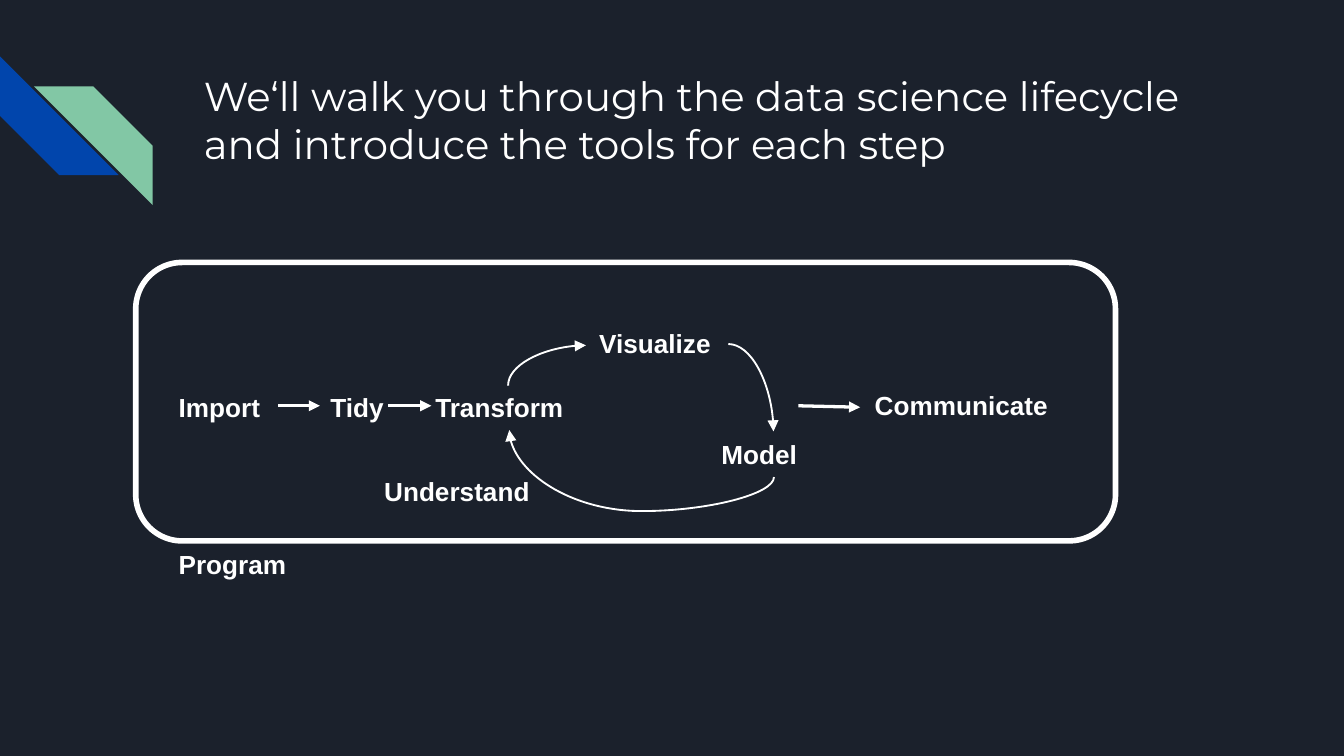
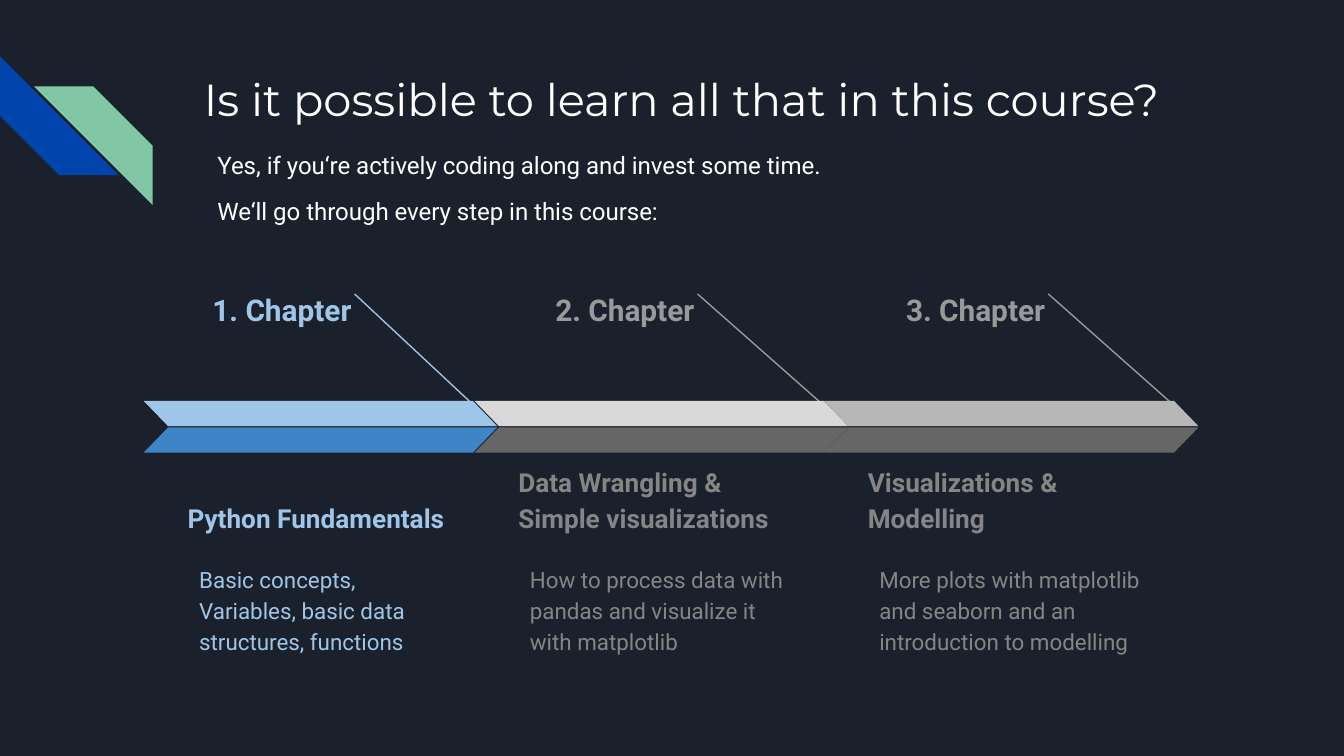
from dataclasses import dataclass
from typing import NamedTuple

from lxml import etree
from pptx import Presentation
from pptx.dml.color import RGBColor
from pptx.enum import shapes, text
from pptx.oxml import ns
from pptx.util import Pt


@dataclass(frozen=True)
class Theme:
    back: str = "1B212C"
    white: str = "FFFFFF"
    blue: str = "0145AC"
    green: str = "82C7A5"
    sky: str = "9FC5E8"
    deep: str = "3D85C6"
    grey: str = "999999"
    dim: str = "858585"
    dark: str = "666666"
    pale: str = "D9D9D9"
    mid: str = "B7B7B7"
    head: str = "Montserrat"
    body: str = "Roboto"
    plain: str = "Arial"
    label: float = 14
    lead: float = 12.9
    tag: float = 16
    topic: float = 14
    note: float = 12


class Box(NamedTuple):
    x: float
    y: float
    w: float
    h: float


class Font(NamedTuple):
    name: str
    size: float
    color: str
    bold: bool = False


class Label(NamedTuple):
    words: str
    x: float
    y: float
    w: float


class Curve(NamedTuple):
    start: tuple
    end: tuple
    kind: str
    turn: float = 0
    bend: int | None = None


class Chapter(NamedTuple):
    tag: str
    topic: str
    note: str
    x: float
    w: float
    lead: float
    tint: str
    tone: str
    top: str
    low: str


T = Theme()
FORM = shapes.MSO_SHAPE
LINK = shapes.MSO_CONNECTOR

LABELS = [
    Label("Tidy", 169.9, 205.9, 45.4),
    Label("Import", 88.6, 205.9, 70.6),
    Label("Transform", 226.1, 205.9, 92.2),
    Label("Visualize", 313.9, 172.1, 76.3),
    Label("Model", 379.4, 231.1, 70.6),
    Label("Communicate", 461.5, 205.2, 108),
    Label("Program", 88.6, 290.2, 74.9),
    Label("Understand", 198.7, 251.3, 92.2),
]
ARROWS = [
    ((149, 217.4), (171.4, 217.4)),
    ((208.1, 217.4), (231.1, 217.4)),
    ((427.7, 217.4), (460.8, 218.2)),
]
CURVES = [
    Curve((303.8, 216.7), (282.2, 175), "curvedConnector2", 90),
    Curve((390.2, 184.3), (414.4, 231.1), "curvedConnector2"),
    Curve((356.4, 172.1), (331.2, 313.9), "curvedConnector3", 90, -72300),
]
CHAPTERS = [
    Chapter("1. Chapter", "Python Fundamentals",
            "Basic concepts,\vVariables, basic data structures, functions",
            77, 189.4, 190, T.sky, T.sky, T.sky, T.deep),
    Chapter("2. Chapter", "Data Wrangling & Simple visualizations",
            "How to process data with pandas and visualize it with matplotlib",
            254.2, 200.2, 373.7, T.grey, T.dim, T.pale, T.dark),
    Chapter("3. Chapter", "Visualizations & Modelling",
            "More plots with matplotlib and seaborn and an introduction to modelling",
            441.4, 200.6, 561.6, T.grey, T.dim, T.mid, T.dark),
]


def rgb(code: str) -> RGBColor:
    return RGBColor.from_string(code)


def write(slide, words: str, box: Box, font: Font, pad: float = 7.2,
          space: float = 1, gap: float = 0, align=text.PP_ALIGN.LEFT,
          anchor=text.MSO_ANCHOR.TOP) -> None:
    frame = slide.shapes.add_textbox(*map(Pt, box)).text_frame
    frame.word_wrap = True
    frame.vertical_anchor = anchor
    frame.margin_left = frame.margin_right = Pt(7.2)
    frame.margin_top = frame.margin_bottom = Pt(pad)
    frame.text = words
    for rank, para in enumerate(frame.paragraphs):
        para.alignment = align
        para.line_spacing = space
        if rank:
            para.space_before = Pt(gap)
        for run in para.runs:
            run.font.name = font.name
            run.font.size = Pt(font.size)
            run.font.bold = font.bold
            run.font.color.rgb = rgb(font.color)


def block(slide, form, box: Box, fill: str, adj: float, flip: bool = False,
          turn: float = 0) -> None:
    shape = slide.shapes.add_shape(form, *map(Pt, box))
    shape.shadow.inherit = False
    shape.adjustments[0] = adj
    shape.rotation = turn
    shape.fill.solid()
    shape.fill.fore_color.rgb = rgb(fill)
    shape.line.fill.background()
    if flip:
        shape.element.spPr.xfrm.flipH = True


def link(slide, start: tuple, end: tuple, color: str, width: float,
         kind=LINK.STRAIGHT, arrow: bool = True):
    line = slide.shapes.add_connector(kind, *map(Pt, start + end))
    line.line.color.rgb = rgb(color)
    line.line.width = Pt(width)
    prop = line.element.spPr
    if arrow:
        tip = etree.SubElement(prop.find(ns.qn("a:ln")), ns.qn("a:tailEnd"))
        tip.set("type", "triangle")
    etree.SubElement(prop, ns.qn("a:effectLst"))
    return line


def bow(slide, curve: Curve) -> None:
    line = link(slide, curve.start, curve.end, T.white, 1, LINK.CURVE)
    prop = line.element.spPr
    prop.xfrm.rot = curve.turn
    geom = prop.find(ns.qn("a:prstGeom"))
    geom.set("prst", curve.kind)
    if curve.bend is not None:
        guide = etree.SubElement(geom.find(ns.qn("a:avLst")), ns.qn("a:gd"))
        guide.set("name", "adj1")
        guide.set("fmla", f"val {curve.bend}")


def begin(deck, title: str, size: float):
    slide = deck.slides.add_slide(deck.slide_layouts[6])
    slide.background.fill.solid()
    slide.background.fill.fore_color.rgb = rgb(T.back)
    block(slide, FORM.DIAGONAL_STRIPE, Box(0, 30.2, 63.6, 63.6), T.blue, 0.5, turn=270)
    block(slide, FORM.DIAGONAL_STRIPE, Box(18.2, 46.3, 63.6, 63.6), T.green, 0.5, flip=True)
    write(slide, title, Box(102.2, 31, 554.4, 72), Font(T.head, size, T.white))
    return slide


def cycle(deck) -> None:
    slide = begin(deck, "We‘ll walk you through the data science lifecycle "
                  "and introduce the tools for each step", 21.6)
    for item in LABELS:
        write(slide, item.words, Box(item.x, item.y, item.w, 24.5),
              Font(T.plain, T.label, T.white, True), pad=3.6)
    frame = slide.shapes.add_shape(FORM.ROUNDED_RECTANGLE, Pt(72.7), Pt(140.6),
                                   Pt(524.9), Pt(149.2))
    frame.shadow.inherit = False
    frame.fill.background()
    frame.line.color.rgb = rgb(T.white)
    frame.line.width = Pt(3)
    for start, end in ARROWS:
        link(slide, start, end, T.white, 1.75)
    for curve in CURVES:
        bow(slide, curve)


def chapter(slide, item: Chapter) -> None:
    write(slide, item.tag, Box(item.lead - 92.5, 146.2, 97.9, 22.3),
          Font(T.body, T.tag, item.tint, True), space=1.15,
          align=text.PP_ALIGN.RIGHT)
    write(slide, item.topic, Box(item.x + 16.4, 251.3, item.w - 34, 41.8),
          Font(T.body, T.topic, item.tone, True), space=1.15,
          anchor=text.MSO_ANCHOR.BOTTOM)
    write(slide, item.note, Box(item.x + 22.6, 293.8, item.w - 39.6, 50.4),
          Font(T.body, T.note, item.tone), space=1.15)
    link(slide, (item.lead, 157.5), (item.x + item.w - 2.2, 226.8),
         item.tint, 0.75, arrow=False)
    for y, fill, flip in ((214.8, item.top, True), (229, item.low, False)):
        block(slide, FORM.PARALLELOGRAM, Box(item.x, y, item.w, 13.5), fill, 0.97, flip)


def course(deck) -> None:
    slide = begin(deck, "Is it possible to learn all that in this course?", 24)
    for item in CHAPTERS:
        chapter(slide, item)
    write(slide, "Yes, if you‘re actively coding along and invest some time.\n"
          "We‘ll go through every step in this course:",
          Box(109.4, 76.3, 452.2, 53.3), Font(T.body, T.lead, T.white),
          space=0.8, gap=12.4)


def main() -> None:
    deck = Presentation()
    deck.slide_width, deck.slide_height = Pt(720), Pt(405)
    cycle(deck)
    course(deck)
    deck.save("out.pptx")


if __name__ == "__main__":
    main()
